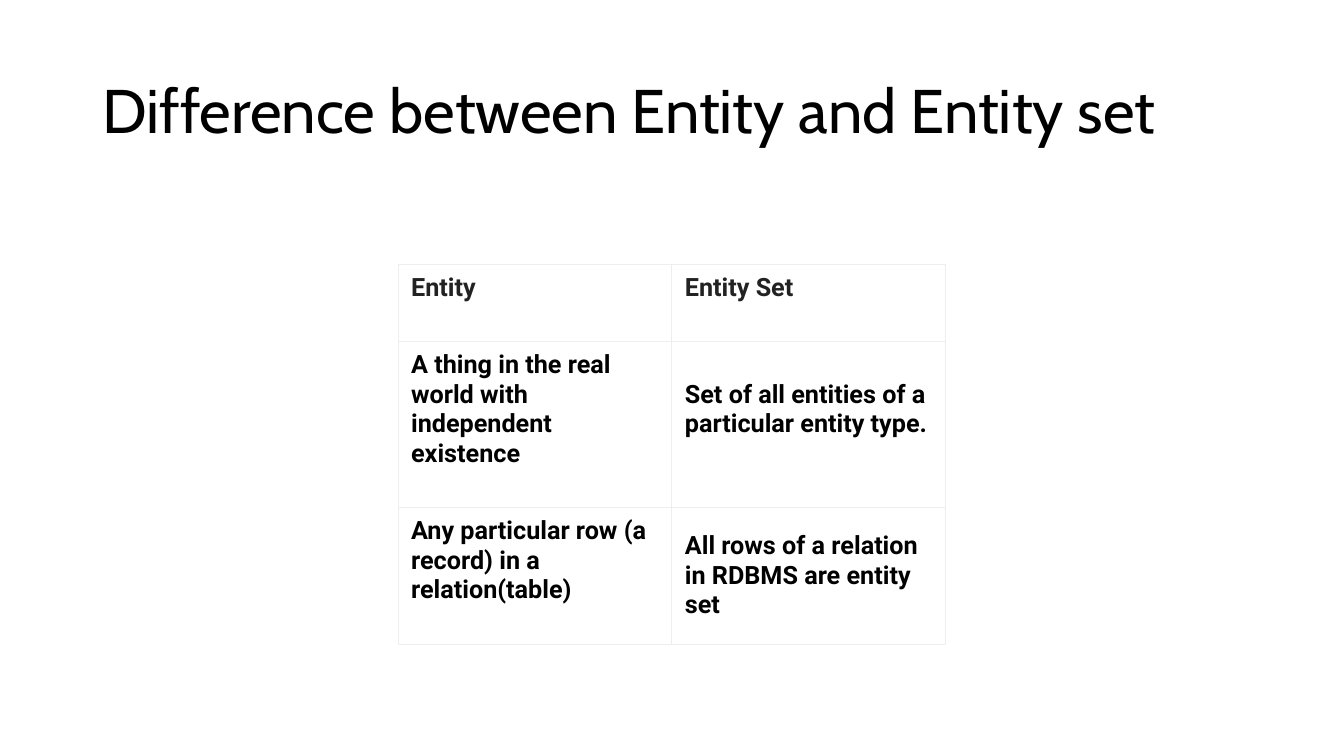
from pptx import Presentation
from pptx.dml.color import RGBColor as Rgb
from pptx.enum.text import MSO_ANCHOR as Anchor
from pptx.oxml import parse_xml
from pptx.oxml.ns import nsdecls
from pptx.util import Cm, Pt

# Content
TITLE = "Difference between Entity and Entity set"
ROWS = [
    ("Entity", "Entity Set"),
    ("A thing in the real world with independent existence",
     "Set of all entities of a particular entity type."),
    ("Any particular row (a record) in a relation(table)",
     "All rows of a relation in RDBMS are entity set"),
]

# Theme
THEME = {
    "title": {"name": "Cabin", "size": Pt(44), "color": "000000"},
    "header": {"name": "Roboto", "size": Pt(18), "bold": True, "color": "222222"},
    "body": {"name": "Roboto", "size": Pt(18), "bold": True, "color": "000000"},
    "border": "EEEEEE",
    "border_width": Pt(0.6),
}

# Layout, in centimetres
TITLE_BOX = (2.33, 1.02, 29.21, 3.68)
TABLE_LEFT, TABLE_TOP = 10.03, 6.67
COLUMN_WIDTH = 6.9
ROW_HEIGHTS = (1.92, 4.16, 3.4)
SIDE_INSET, EDGE_INSET, SPARE_LINE = 0.33, 0.2, 0.75


def set_font(paragraph, style):
    for name, value in style.items():
        if name == "color":
            paragraph.font.color.rgb = Rgb.from_string(value)
        else:
            setattr(paragraph.font, name, value)


def add_borders(cell):
    properties = cell._tc.get_or_add_tcPr()
    for index, side in enumerate(("lnL", "lnR", "lnT", "lnB")):
        properties.insert(index, parse_xml(
            f'<a:{side} {nsdecls("a")} w="{THEME["border_width"]}"><a:solidFill>'
            f'<a:srgbClr val="{THEME["border"]}"/></a:solidFill></a:{side}>'))


def add_title(slide):
    frame = slide.shapes.add_textbox(*map(Cm, TITLE_BOX)).text_frame
    frame.word_wrap = True
    frame.vertical_anchor = Anchor.MIDDLE
    paragraph = frame.paragraphs[0]
    paragraph.text = TITLE
    paragraph.line_spacing = 0.9
    set_font(paragraph, THEME["title"])


def add_comparison(slide):
    column_count = len(ROWS[0])
    table = slide.shapes.add_table(
        len(ROWS), column_count, Cm(TABLE_LEFT), Cm(TABLE_TOP),
        Cm(COLUMN_WIDTH * column_count), Cm(sum(ROW_HEIGHTS))).table
    table.first_row = table.horz_banding = False
    for column in table.columns:
        column.width = Cm(COLUMN_WIDTH)
    for row, height in zip(table.rows, ROW_HEIGHTS):
        row.height = Cm(height)

    for row_index, texts in enumerate(ROWS):
        for column_index, text in enumerate(texts):
            cell = table.cell(row_index, column_index)
            # Every cell but the last keeps one line free below its text
            is_last = text == ROWS[-1][-1]
            cell_format = {
                "text": text,
                "vertical_anchor": Anchor.MIDDLE,
                "margin_left": Cm(SIDE_INSET),
                "margin_right": Cm(SIDE_INSET),
                "margin_top": Cm(EDGE_INSET),
                "margin_bottom": Cm(EDGE_INSET + (0 if is_last else SPARE_LINE)),
            }
            for name, value in cell_format.items():
                setattr(cell, name, value)
            cell.fill.background()
            add_borders(cell)
            set_font(cell.text_frame.paragraphs[0],
                     THEME["body" if row_index else "header"])


def main():
    presentation = Presentation()
    presentation.slide_width, presentation.slide_height = Cm(33.87), Cm(19.05)
    slide = presentation.slides.add_slide(presentation.slide_layouts[6])
    add_title(slide)
    add_comparison(slide)
    presentation.save("out.pptx")


if __name__ == "__main__":
    main()
